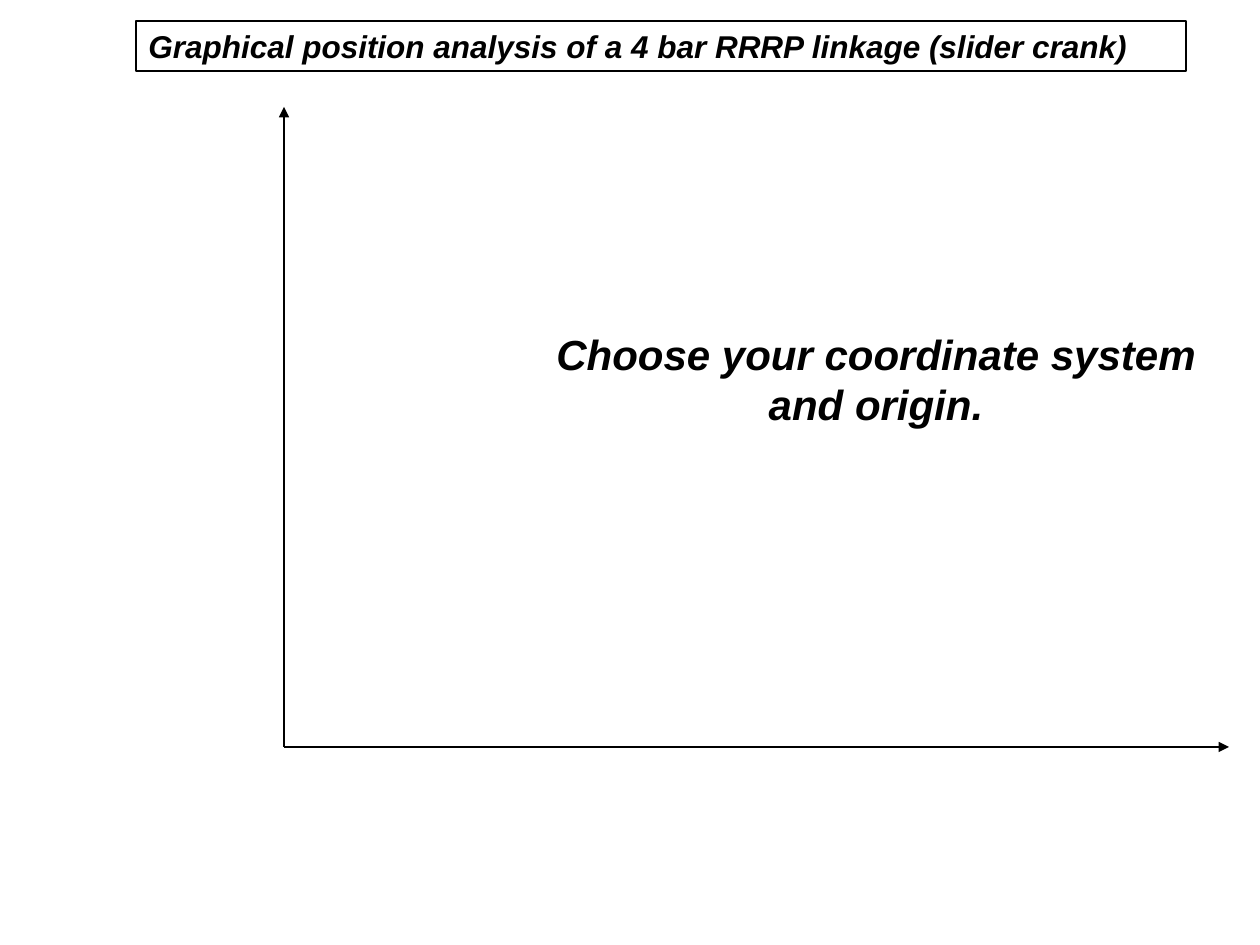
"""Build a slide that introduces the coordinate system of a slider crank linkage."""
import pptx
import pptx.dml.color
import pptx.enum.shapes
import pptx.enum.text
import pptx.oxml
import pptx.oxml.ns
import pptx.util

PIXELS_PER_INCH = 126
COLORS = {"ink": "000000", "paper": "FFFFFF"}
FONT = {"name": "Arial", "bold": True, "italic": True}
ORIGIN = (284, 747)
SHAPES = pptx.enum.shapes.MSO_SHAPE
ANCHORS = pptx.enum.text.MSO_ANCHOR
ALIGNMENTS = pptx.enum.text.PP_ALIGN


def px(length):
    """Turn whole pixels into EMU."""
    return pptx.util.Emu(round(length * 914400 / PIXELS_PER_INCH))


def color(name):
    """Look up a named colour."""
    return pptx.dml.color.RGBColor.from_string(COLORS[name])


def set_attributes(target, values):
    """Set each attribute in a dict of format values."""
    for name, value in values.items():
        setattr(target, name, value)


def style_line(line, line_color):
    """Give an outline its colour and thin width."""
    line.color.rgb = color(line_color)
    line.width = pptx.util.Pt(0.75)


def add_axis(slide, end):
    """Draw an arrow from the origin to the end of an axis."""
    axis = slide.shapes.add_connector(
        pptx.enum.shapes.MSO_CONNECTOR.STRAIGHT, *map(px, ORIGIN + end)
    )
    style_line(axis.line, "ink")
    namespace = pptx.oxml.ns.nsdecls("a")
    axis.line._get_or_add_ln().append(
        pptx.oxml.parse_xml(f'<a:tailEnd {namespace} type="triangle"/>')
    )
    axis._element.spPr.append(pptx.oxml.parse_xml(f"<a:effectLst {namespace}/>"))


def add_text_shape(slide, preset, box, text, size, line_color, fill_color, frame_format, paragraph_format):
    """Add a preset shape that holds one styled paragraph."""
    shape = slide.shapes.add_shape(preset, *map(px, box))
    shape.shadow.inherit = False
    style_line(shape.line, line_color)
    if fill_color:
        shape.fill.solid()
        shape.fill.fore_color.rgb = color(fill_color)
    else:
        shape.fill.background()
    set_attributes(shape.text_frame, {"word_wrap": True, **frame_format})
    paragraph = shape.text_frame.paragraphs[0]
    set_attributes(paragraph, paragraph_format)
    run = paragraph.add_run()
    run.text = text
    set_attributes(run.font, {**FONT, "size": pptx.util.Pt(size)})
    run.font.color.rgb = color("ink")


def main():
    """Build and save the slide."""
    presentation = pptx.Presentation()
    set_attributes(presentation, {"slide_width": px(1260), "slide_height": px(945)})
    slide = presentation.slides.add_slide(presentation.slide_layouts[6])
    for end in ((284, 107), (1229, 747)):
        add_axis(slide, end)
    add_text_shape(
        slide, SHAPES.RECTANGLE, (136, 21, 1050, 50),
        "Graphical position analysis of a 4 bar RRRP linkage (slider crank)",
        18, "ink", "paper",
        {
            "vertical_anchor": ANCHORS.TOP,
            "auto_size": pptx.enum.text.MSO_AUTO_SIZE.SHAPE_TO_FIT_TEXT,
        },
        {"alignment": ALIGNMENTS.LEFT, "space_before": pptx.util.Pt(11.2)},
    )
    add_text_shape(
        slide, SHAPES.HORIZONTAL_SCROLL, (504, 305, 735, 147),
        "Choose your coordinate system and origin.",
        24, "paper", None,
        {"vertical_anchor": ANCHORS.MIDDLE},
        {"alignment": ALIGNMENTS.CENTER},
    )
    presentation.save("out.pptx")


if __name__ == "__main__":
    main()
